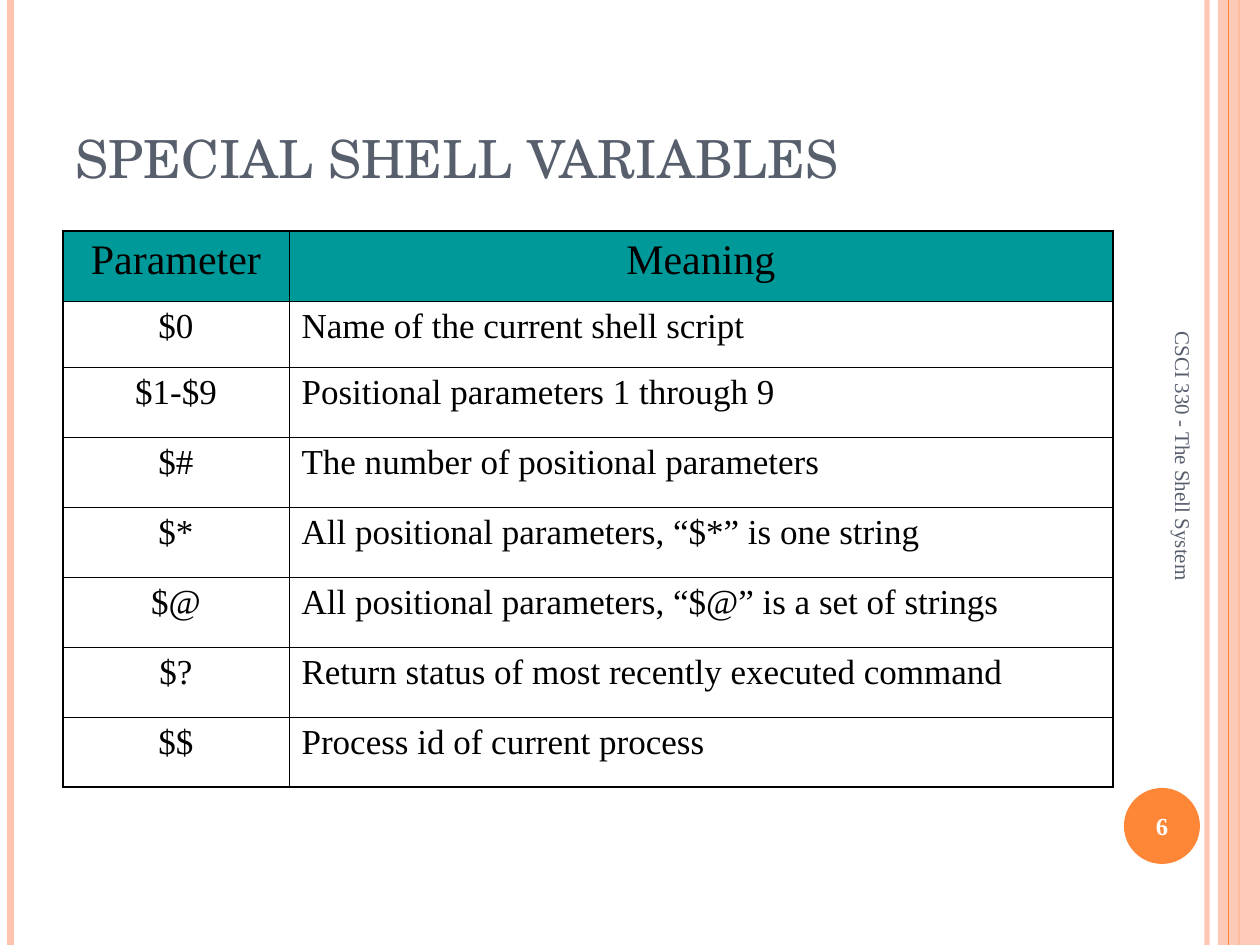
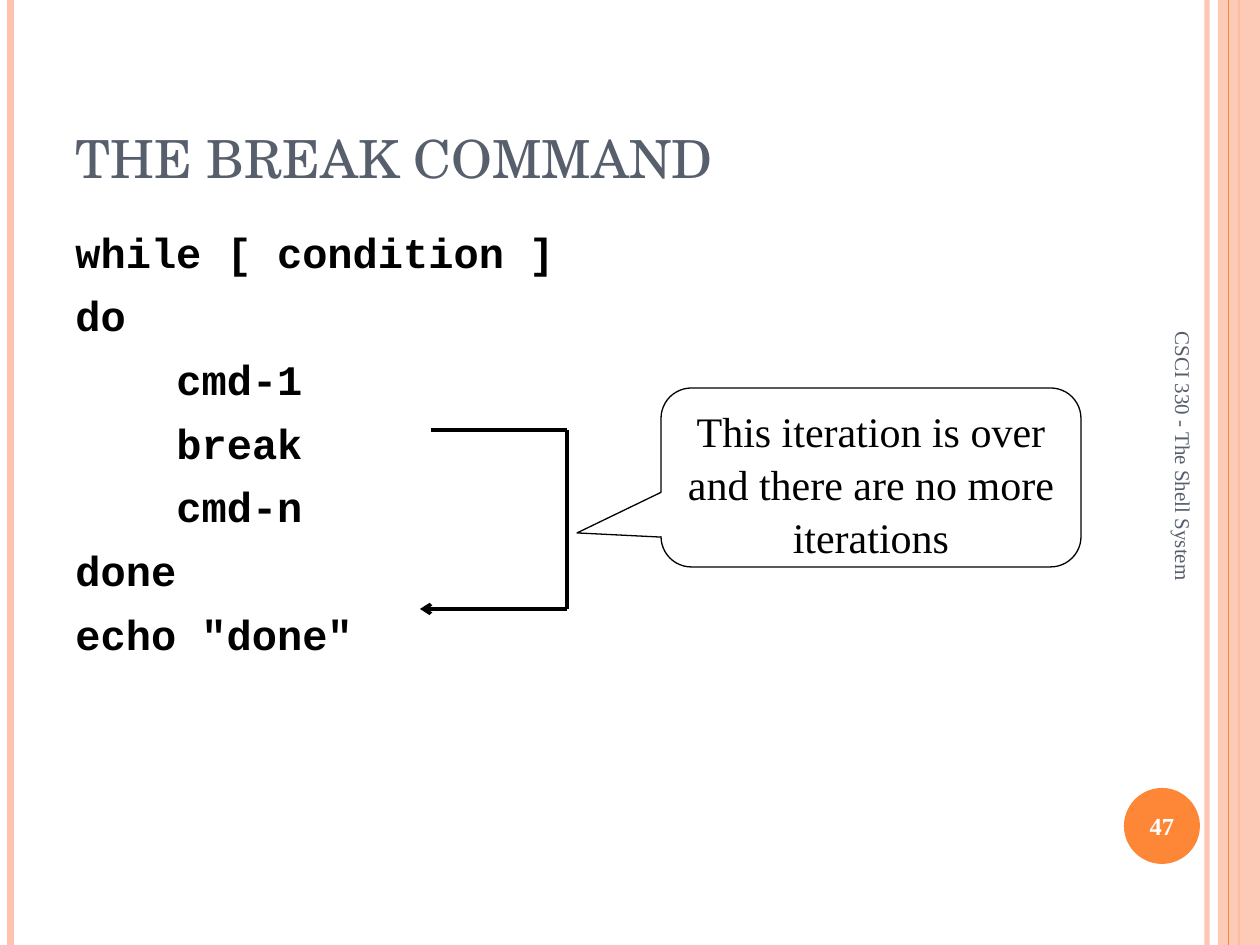
"""Build two shell scripting slides: special variables and the break command."""
from lxml import etree
from pptx import Presentation
from pptx import util as u
from pptx.dml import color
from pptx.enum import shapes, text
from pptx.oxml import ns

COLORS = {
    "peach": "FEC3AE", "orange": "FE8637", "slate": "575F6D",
    "teal": "009999", "black": "000000", "white": "FFFFFF",
}
SERIF, HEADING, MONO = "Times New Roman", "TeX Gyre Schola", "Courier New"
CENTER = text.PP_ALIGN.CENTER
MIDDLE, BOTTOM = text.MSO_ANCHOR.MIDDLE, text.MSO_ANCHOR.BOTTOM

SLIDE_W, SLIDE_H = 1260, 945
TITLE_BOX = (63, 38, 1029, 157)
BODY_BOX = (63, 220, 1029, 672)
TABLE_BOX = (63, 231, 1050, 556)
BREAK_BOX = (420, 388, 661, 221)
COURSE = "CSCI 330 - The Shell System"

VARIABLES = [
    ("Parameter", "Meaning"),
    ("$0", "Name of the current shell script"),
    ("$1-$9", "Positional parameters 1 through 9"),
    ("$#", "The number of positional parameters"),
    ("$*", "All positional parameters, “$*” is one string"),
    ("$@", "All positional parameters, “$@” is a set of strings"),
    ("$?", "Return status of most recently executed command"),
    ("$$", "Process id of current process"),
]
CODE = [
    ("while [ condition ]", 0), ("do", 0), ("cmd-1", 1), ("break", 1),
    ("cmd-n", 1), ("done", 0), ('echo "done"', 0),
]


def px(length):
    """Turn px into EMU."""
    return u.Emu(round(length * 914400 / 126))


def rgb(name):
    """Return a palette colour."""
    return color.RGBColor.from_string(COLORS[name])


def add_xml(parent, tag, **attributes):
    """Append a DrawingML element and return it."""
    return etree.SubElement(parent, ns.qn(tag), attributes)


def set_alpha(fill_parent, percent):
    """Make the solid colour under an element partly transparent."""
    swatch = next(fill_parent.iter(ns.qn("a:srgbClr")))
    add_xml(swatch, "a:alpha", val=str(percent * 1000))


def add_run(paragraph, words, size, font=SERIF, ink="black", bold=False):
    """Add one styled run."""
    run = paragraph.add_run()
    run.text = words
    run.font.name, run.font.size, run.font.bold = font, u.Pt(size), bold
    run.font.color.rgb = rgb(ink)


def add_label(slide, box, words, size, anchor, align=None, **style):
    """Add a wrapping one-paragraph text box and return it."""
    label = slide.shapes.add_textbox(*map(px, box))
    frame = label.text_frame
    frame.word_wrap, frame.vertical_anchor = True, anchor
    frame.paragraphs[0].alignment = align
    add_run(frame.paragraphs[0], words, size, **style)
    return label


def add_line(slide, start, end, ink, width, alpha=None, arrow=False):
    """Add a straight line, optionally translucent or ending in an arrow."""
    line = slide.shapes.add_connector(
        shapes.MSO_CONNECTOR.STRAIGHT, *map(px, start + end))
    line.line.color.rgb, line.line.width = rgb(ink), u.Pt(width)
    properties = line._element.spPr
    stroke = properties.find(ns.qn("a:ln"))
    if alpha:
        set_alpha(stroke, alpha)
    if arrow:
        add_xml(stroke, "a:tailEnd", type="arrow")
    add_xml(properties, "a:effectLst")


def add_filled(slide, kind, box, ink):
    """Add a borderless shape and return it."""
    shape = slide.shapes.add_shape(kind, *map(px, box))
    shape.shadow.inherit = False
    shape.fill.solid()
    shape.fill.fore_color.rgb = rgb(ink)
    shape.line.fill.background()
    return shape


def add_stripe(slide, x, ink, width, alpha=None):
    """Add a full-height vertical stripe."""
    add_line(slide, (x, 0), (x, SLIDE_H), ink, width, alpha)


def add_frame(prs, title, number):
    """Add a slide with its bands, title, page badge and course label."""
    slide = prs.slides.add_slide(prs.slide_layouts[6])
    add_stripe(slide, 1207, "peach", 3, 93)
    add_stripe(slide, 10.5, "peach", 4.5)
    add_stripe(slide, 1239, "orange", 1.5)
    band = add_filled(slide, shapes.MSO_SHAPE.RECTANGLE,
                      (1218, 0, SLIDE_W - 1218, SLIDE_H), "peach")
    set_alpha(band._element.spPr, 87)
    add_stripe(slide, 1228.5, "orange", 0.75)
    add_filled(slide, shapes.MSO_SHAPE.OVAL, (1124, 788, 76, 76), "orange")
    add_label(slide, TITLE_BOX, title, 30, BOTTOM, font=HEADING, ink="slate")
    add_label(slide, (1120, 790, 84, 72), str(number), 14, MIDDLE, CENTER,
              ink="white", bold=True)
    course = add_label(slide, (963, 515, 441, 50), COURSE, 12, MIDDLE, ink="slate")
    course.rotation = 90
    return slide


def border_cell(cell, outer_sides):
    """Draw the cell's borders, heavier on the table's outer sides."""
    properties = cell._tc.get_or_add_tcPr()
    for side in "LRTB":
        width = u.Pt(1.08 if side in outer_sides else 0.45)
        edge = add_xml(properties, f"a:ln{side}", w=str(width))
        add_xml(add_xml(edge, "a:solidFill"), "a:srgbClr", val=COLORS["black"])


def add_variable_table(slide, box):
    """Add the table of special variables."""
    left, top, width, height = box
    name_width, header_height, first_height = 226, 70, 66
    row_height = (height - header_height - first_height) / (len(VARIABLES) - 2)
    table = slide.shapes.add_table(len(VARIABLES), 2, *map(px, box)).table
    table.columns[0].width = px(name_width)
    table.columns[1].width = px(width - name_width)
    for row, entry in enumerate(VARIABLES):
        heights = {0: header_height, 1: first_height}
        table.rows[row].height = px(heights.get(row, row_height))
        header = row == 0
        rim = "T" if header else "B" if row == len(VARIABLES) - 1 else ""
        for column, words in enumerate(entry):
            cell = table.cell(row, column)
            border_cell(cell, "LR"[column] + rim)
            if header:
                cell.fill.solid()
                cell.fill.fore_color.rgb = rgb("teal")
            else:
                cell.fill.background()
            paragraph = cell.text_frame.paragraphs[0]
            paragraph.space_before = u.Pt(6 if header else 5)
            if header or column == 0:
                paragraph.alignment = CENTER
            add_run(paragraph, words, 24 if header else 20)


def add_code(slide, box):
    """Add the loop listing, indenting its body."""
    frame = slide.shapes.add_textbox(*map(px, box)).text_frame
    frame.word_wrap = True
    for index, (words, depth) in enumerate(CODE):
        paragraph = frame.paragraphs[0] if index == 0 else frame.add_paragraph()
        paragraph.space_before, paragraph.space_after = u.Pt(6), u.Pt(1.6)
        paragraph._p.get_or_add_pPr().set("marL", str(px(101 * depth)))
        add_run(paragraph, words, 24, MONO, bold=True)


def add_break_jump(slide, box):
    """Add the jump from break to past the loop, with its callout."""
    left, top, width, height = box
    corner_x, start_y, end_y = left + 147, top + 42, top + height
    corners = [(left + 11, start_y), (corner_x, start_y),
               (corner_x, end_y), (left, end_y)]
    for start, end in zip(corners, corners[1:]):
        add_line(slide, start, end, "black", 2, arrow=end == corners[-1])
    callout = slide.shapes.add_shape(
        shapes.MSO_SHAPE.ROUNDED_RECTANGULAR_CALLOUT,
        *map(px, (left + 241, top, width - 241, 179)))
    callout.shadow.inherit = False
    for index, value in enumerate((-0.7, 0.31, 0.17)):
        callout.adjustments[index] = value
    callout.fill.background()
    callout.line.color.rgb, callout.line.width = rgb("black"), u.Pt(0.75)
    frame = callout.text_frame
    frame.word_wrap, frame.vertical_anchor = True, text.MSO_ANCHOR.TOP
    paragraph = frame.paragraphs[0]
    paragraph.alignment, paragraph.line_spacing = CENTER, 1.05
    add_run(paragraph, "This iteration is over and there are no more iterations", 24)


def main():
    """Build and save the slides."""
    prs = Presentation()
    prs.slide_width, prs.slide_height = px(SLIDE_W), px(SLIDE_H)
    add_variable_table(add_frame(prs, "SPECIAL SHELL VARIABLES", 6), TABLE_BOX)
    break_slide = add_frame(prs, "THE BREAK COMMAND", 47)
    add_code(break_slide, BODY_BOX)
    add_break_jump(break_slide, BREAK_BOX)
    prs.save("out.pptx")


if __name__ == "__main__":
    main()
